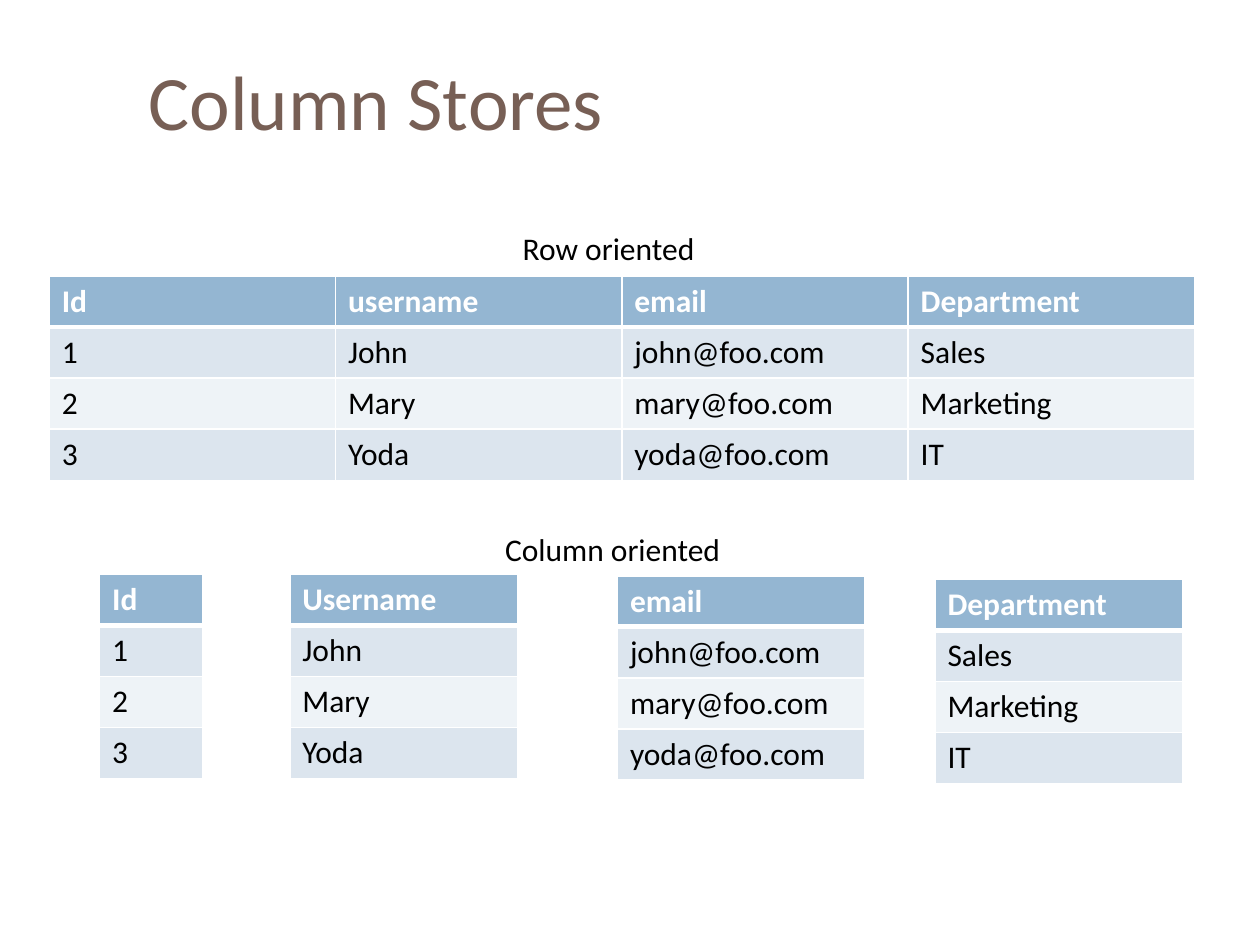
from lxml import etree
from pptx import Presentation
from pptx.dml.color import RGBColor
from pptx.enum.text import MSO_ANCHOR, MSO_AUTO_SIZE, PP_ALIGN
from pptx.oxml.ns import qn
from pptx.util import Inches, Pt

LEFT = PP_ALIGN.LEFT
MIDDLE = MSO_ANCHOR.MIDDLE
GROW = MSO_AUTO_SIZE.SHAPE_TO_FIT_TEXT

BROWN = RGBColor(0x77, 0x5F, 0x55)
BLACK = RGBColor(0, 0, 0)
WHITE = RGBColor(0xFF, 0xFF, 0xFF)
HEADER_BLUE = RGBColor(0x94, 0xB6, 0xD2)
BAND_DARK = RGBColor(0xDC, 0xE5, 0xEE)
BAND_LIGHT = RGBColor(0xEE, 0xF3, 0xF7)

FONT = "Calibri"
SLIDE_WIDTH, SLIDE_HEIGHT = Inches(10), Inches(7.5)
TABLE_HEIGHT = 21.6

HEADERS = ["Id", "username", "email", "Department"]
RECORDS = [
    ["1", "John", "john@foo.com", "Sales"],
    ["2", "Mary", "mary@foo.com", "Marketing"],
    ["3", "Yoda", "yoda@foo.com", "IT"],
]
COLUMN_HEADERS = ["Id", "Username", "email", "Department"]
# Left, top and width of each single-column table, in percent of the slide
COLUMN_PLACES = [(7.9, 60.8, 8.2), (23, 60.8, 18.1),
                 (49, 60.93, 19.6), (74.2, 61.33, 19.7)]


def percent_box(left, top, width, height):
    """Turn percentages of the slide's size into a box in EMU."""
    return (int(SLIDE_WIDTH * left / 100), int(SLIDE_HEIGHT * top / 100),
            int(SLIDE_WIDTH * width / 100), int(SLIDE_HEIGHT * height / 100))


def style_paragraph(paragraph, size, color, bold=False):
    paragraph.alignment = LEFT
    font = paragraph.font
    font.name, font.size, font.bold = FONT, Pt(size), bold
    font.color.rgb = color


def add_title(slide, box, text):
    title = slide.shapes.title
    title.left, title.top, title.width, title.height = box
    title.text_frame.text = text
    title.text_frame.vertical_anchor = MIDDLE
    style_paragraph(title.text_frame.paragraphs[0], 44, BROWN)


def add_caption(slide, box, text):
    frame = slide.shapes.add_textbox(*box).text_frame
    frame.word_wrap = False
    frame.auto_size = GROW
    frame.text = text
    style_paragraph(frame.paragraphs[0], 18, BLACK)


def set_borders(cell, top, bottom):
    """Draw white cell borders; top and bottom are widths in points."""
    properties = cell._tc.get_or_add_tcPr()
    for side, width in (("L", 1), ("R", 1), ("T", top), ("B", bottom)):
        line = etree.SubElement(properties, qn(f"a:ln{side}"), w=str(Pt(width)))
        fill = etree.SubElement(line, qn("a:solidFill"))
        etree.SubElement(fill, qn("a:srgbClr"), val=str(WHITE))


def add_data_table(slide, box, rows):
    table = slide.shapes.add_table(len(rows), len(rows[0]), *box).table
    for row_index, values in enumerate(rows):
        header = row_index == 0
        band = BAND_DARK if row_index % 2 else BAND_LIGHT
        for column_index, value in enumerate(values):
            cell = table.cell(row_index, column_index)
            set_borders(cell, 3 if row_index == 1 else 1, 3 if header else 1)
            cell.fill.solid()
            cell.fill.fore_color.rgb = HEADER_BLUE if header else band
            cell.text = value
            style_paragraph(cell.text_frame.paragraphs[0], 18,
                            WHITE if header else BLACK, header)


def add_row_store(slide):
    add_data_table(slide, percent_box(3.9, 29.2, 90.9, TABLE_HEIGHT),
                   [HEADERS] + RECORDS)
    add_caption(slide, percent_box(40.5, 23.6, 16.9, 5.33), "Row oriented")


def add_column_store(slide):
    for place, header, values in zip(COLUMN_PLACES, COLUMN_HEADERS, zip(*RECORDS)):
        rows = [[value] for value in (header, *values)]
        add_data_table(slide, percent_box(*place, TABLE_HEIGHT), rows)
    add_caption(slide, percent_box(39.1, 55.47, 20.5, 5.33), "Column oriented")


def main():
    presentation = Presentation()
    presentation.slide_width, presentation.slide_height = SLIDE_WIDTH, SLIDE_HEIGHT
    slide = presentation.slides.add_slide(presentation.slide_layouts[5])
    add_title(slide, percent_box(10.8, 3.33, 89.2, 14.4), "Column Stores")
    add_row_store(slide)
    add_column_store(slide)
    presentation.save("out.pptx")


if __name__ == "__main__":
    main()
